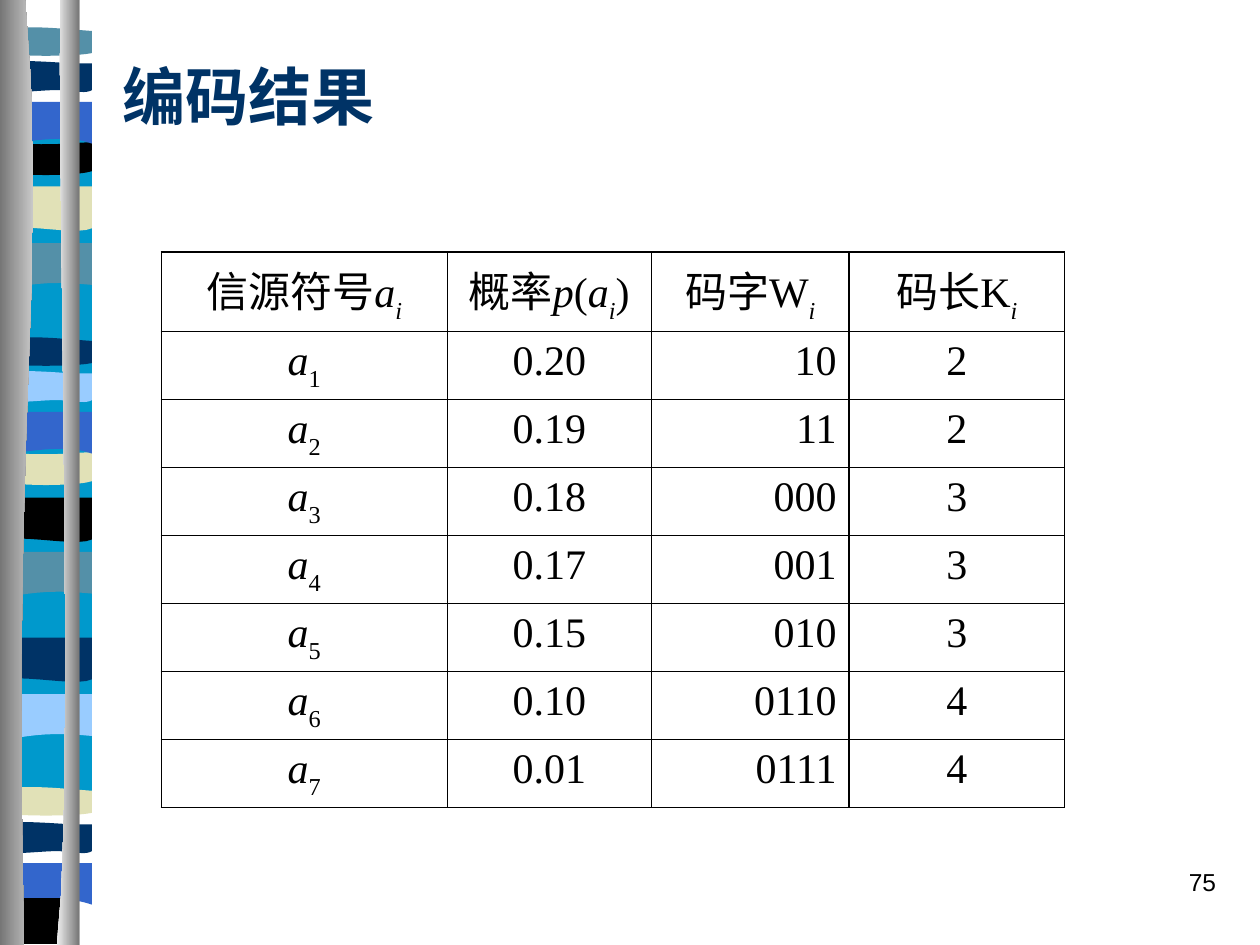
from lxml import etree
from pptx import Presentation
from pptx.dml.color import RGBColor
from pptx.enum.text import MSO_ANCHOR as ANCHOR, PP_ALIGN as ALIGN
from pptx.oxml.ns import qn
from pptx.util import Inches, Pt

BLACK = RGBColor(0x00, 0x00, 0x00)
NAVY = RGBColor(0x00, 0x33, 0x66)
CYAN = RGBColor(0x00, 0x99, 0xCC)
TEAL = RGBColor(0x54, 0x90, 0xA8)
SAND = RGBColor(0xE1, 0xE1, 0xB7)
BLUE = RGBColor(0x33, 0x66, 0xCC)
SKY = RGBColor(0x99, 0xCC, 0xFF)
GREY = RGBColor(0x76, 0x76, 0x76)
SILVER = RGBColor(0xC8, 0xC8, 0xC8)
PALE = RGBColor(0xF0, 0xF0, 0xF0)

CJK_FONT, TABLE_FONT, NUMBER_FONT = "Noto Sans CJK SC", "Times New Roman", "Arial"
SLIDE_W, SLIDE_H = 10, 7.5
CURVE_STEPS = 10

BLOCK = [[(1, 0)], [(1, 1)], [(0, 1)], [(0, 0)]]
SWELL = [[(1, 0)], [(1, .85)], [(.31, .71), (.17, 1), (0, .85)], [(0, 0)]]
RIPPLE = [[(1, 0)], [(1, .85)], [(.83, 1), (.31, .76), (0, .85)], [(0, 0)]]
LENS = [[(1, .15)], [(1, .88)], [(.83, 1), (.17, 1), (0, .88)], [(0, .15)],
        [(.07, 0), (.22, .03), (.39, .03)], [(.54, .03), (.86, .12), (1, .15)]]
BOWL = [[(1, 0)], [(1, .85)], [(.83, 1), (.17, 1), (0, .85)], [(0, 0)],
        [(.61, .13), (.78, 0), (1, 0)]]
ARCH = [[(1, 0)], [(1, 1)], [(.85, .89), (.78, .89), (.61, .89)],
        [(.44, .89), (.15, 1), (0, 1)], [(0, 0)]]
WAVE = [[(1, .15)], [(1, .88)], [(.93, 1), (.78, .88), (.61, .88)],
        [(.44, .88), (.1, 1), (0, .88)], [(0, .15)],
        [(.14, 0), (.68, .15), (.85, .15)]]
LEFT_PILLAR = [[(.2, 0)], [(.39, .29), (.09, .4), (.19, 1)], [(0, 1)], [(0, 0)]]
RIGHT_PILLAR = [[(.48, 0)], [(.45, .17), (.6, .87), (.45, 1)], [(.63, 1)], [(.63, 0)]]

BAND_W = .73
BANDS = [
    (BLOCK, 1.1, 5.33, CYAN),
    (SWELL, 1.93, .39, TEAL), (RIPPLE, 1.48, .39, SAND), (LENS, .21, .24, TEAL),
    (BOWL, 1.13, .27, BLACK), (ARCH, .81, .33, BLUE), (WAVE, .46, .29, NAVY),
    (SWELL, 4.38, .39, TEAL), (RIPPLE, 3.95, .39, BLACK), (LENS, 2.67, .24, NAVY),
    (BOWL, 3.59, .27, SAND), (ARCH, 3.27, .33, BLUE), (WAVE, 2.92, .29, SKY),
    (SWELL, 5.51, .39, SKY), (RIPPLE, 5.06, .39, NAVY), (LENS, 6.24, .24, SAND),
    (ARCH, 6.85, .33, BLUE), (WAVE, 6.5, .29, NAVY),
]
FOOT_BOX = (0, 7.13, .61, .36)

HEADERS = [
    [("信源符号", ""), ("a", "i"), ("i", "is")],
    [("概率", ""), ("p", "i"), ("(", ""), ("a", "i"), ("i", "is"), (")", "")],
    [("码字W", ""), ("i", "is")],
    [("码长K", ""), ("i", "is")],
]
CODES = [("0.20", "10"), ("0.19", "11"), ("0.18", "000"), ("0.17", "001"),
         ("0.15", "010"), ("0.10", "0110"), ("0.01", "0111")]
COL_WIDTHS = [2.27, 1.62, 1.57, 1.71]
HEADER_H, ROW_H = .63, .54


def bezier(p0, p1, p2, p3):
    for n in range(1, CURVE_STEPS + 1):
        t = n / CURVE_STEPS
        weights = ((1 - t) ** 3, 3 * t * (1 - t) ** 2, 3 * t * t * (1 - t), t ** 3)
        yield tuple(sum(w * p[axis] for w, p in zip(weights, (p0, p1, p2, p3)))
                    for axis in (0, 1))


def add_outline(slide, outline, box):
    left, top, width, height = box
    points = []
    for segment in outline:
        points += bezier(points[-1], *segment) if len(segment) == 3 else segment
    points = [(Inches(left + x * width), Inches(top + y * height)) for x, y in points]
    builder = slide.shapes.build_freeform(*points[0])
    builder.add_line_segments(points[1:], close=True)
    sp = builder.convert_to_shape()
    sp.shadow.inherit = False
    sp.line.fill.background()
    return sp


def add_band(slide, outline, box, color):
    sp = add_outline(slide, outline, box)
    sp.fill.solid()
    sp.fill.fore_color.rgb = color


def add_pillar(slide, outline, start, end):
    sp = add_outline(slide, outline, (0, 0, 1, SLIDE_H))
    sp.fill.gradient()
    sp.fill.gradient_angle = 0
    for stop, color in zip(sp.fill.gradient_stops, (start, end)):
        stop.color.rgb = color


def add_border_strip(slide):
    for outline, top, height, color in BANDS:
        add_band(slide, outline, (0, top, BAND_W, height), color)
    add_band(slide, BLOCK, FOOT_BOX, BLACK)
    add_pillar(slide, LEFT_PILLAR, GREY, SILVER)
    add_pillar(slide, RIGHT_PILLAR, PALE, GREY)


def style_run(r, font, size, color):
    r.font.name, r.font.size, r.font.color.rgb = font, Pt(size), color


def set_title(slide, text, box):
    title = slide.shapes.title
    title.left, title.top, title.width, title.height = map(Inches, box)
    tf = title.text_frame
    tf.text = text
    tf.vertical_anchor = ANCHOR.MIDDLE
    p = tf.paragraphs[0]
    p.alignment = ALIGN.LEFT
    r = p.runs[0]
    style_run(r, CJK_FONT, 36, NAVY)
    r.font.bold = True
    etree.SubElement(r.font._element, qn("a:ea"), typeface=CJK_FONT)


def set_borders(cell):
    tc_pr = cell._tc.get_or_add_tcPr()
    for n, side in enumerate(("lnL", "lnR", "lnT", "lnB")):
        ln = etree.Element(qn(f"a:{side}"), w=str(Pt(1)))
        fill = etree.SubElement(ln, qn("a:solidFill"))
        etree.SubElement(fill, qn("a:srgbClr"), val=str(BLACK))
        tc_pr.insert(n, ln)


def fill_cell(cell, parts, align, anchor):
    cell.fill.background()
    set_borders(cell)
    cell.vertical_anchor = anchor
    p = cell.text_frame.paragraphs[0]
    p.alignment = align
    for text, style in parts:
        r = p.add_run()
        r.text = text
        style_run(r, TABLE_FONT, 24, BLACK)
        r.font.italic = "i" in style
        if "s" in style:
            r.font._element.set("baseline", "-30000")


def add_code_table(slide, left, top):
    rows = [HEADERS] + [
        [[("a", "i"), (str(n), "s")], [(prob, "")], [(word, "")], [(str(len(word)), "")]]
        for n, (prob, word) in enumerate(CODES, 1)]
    height = HEADER_H + ROW_H * len(CODES)
    table = slide.shapes.add_table(
        len(rows), len(COL_WIDTHS), Inches(left), Inches(top),
        Inches(sum(COL_WIDTHS)), Inches(height)).table
    table.first_row = table.horz_banding = False
    for column, width in zip(table.columns, COL_WIDTHS):
        column.width = Inches(width)
    for i, row in enumerate(rows):
        table.rows[i].height = Inches(ROW_H if i else HEADER_H)
        for j, parts in enumerate(row):
            align = ALIGN.RIGHT if i and j == 2 else ALIGN.CENTER
            fill_cell(table.cell(i, j), parts, align, ANCHOR.TOP if i else ANCHOR.MIDDLE)


def add_page_number(slide, text, box):
    tf = slide.shapes.add_textbox(*map(Inches, box)).text_frame
    tf.word_wrap = True
    tf.text = text
    p = tf.paragraphs[0]
    p.alignment = ALIGN.RIGHT
    style_run(p.runs[0], NUMBER_FONT, 14, BLACK)


def main():
    prs = Presentation()
    prs.slide_width, prs.slide_height = Inches(SLIDE_W), Inches(SLIDE_H)
    slide = prs.slides.add_slide(prs.slide_layouts[5])
    add_border_strip(slide)
    set_title(slide, "编码结果", (.87, .33, 7.73, .86))
    add_code_table(slide, 1.28, 2)
    add_page_number(slide, "75", (7.67, 6.83, 2.08, .5))
    prs.save("out.pptx")


if __name__ == "__main__":
    main()
